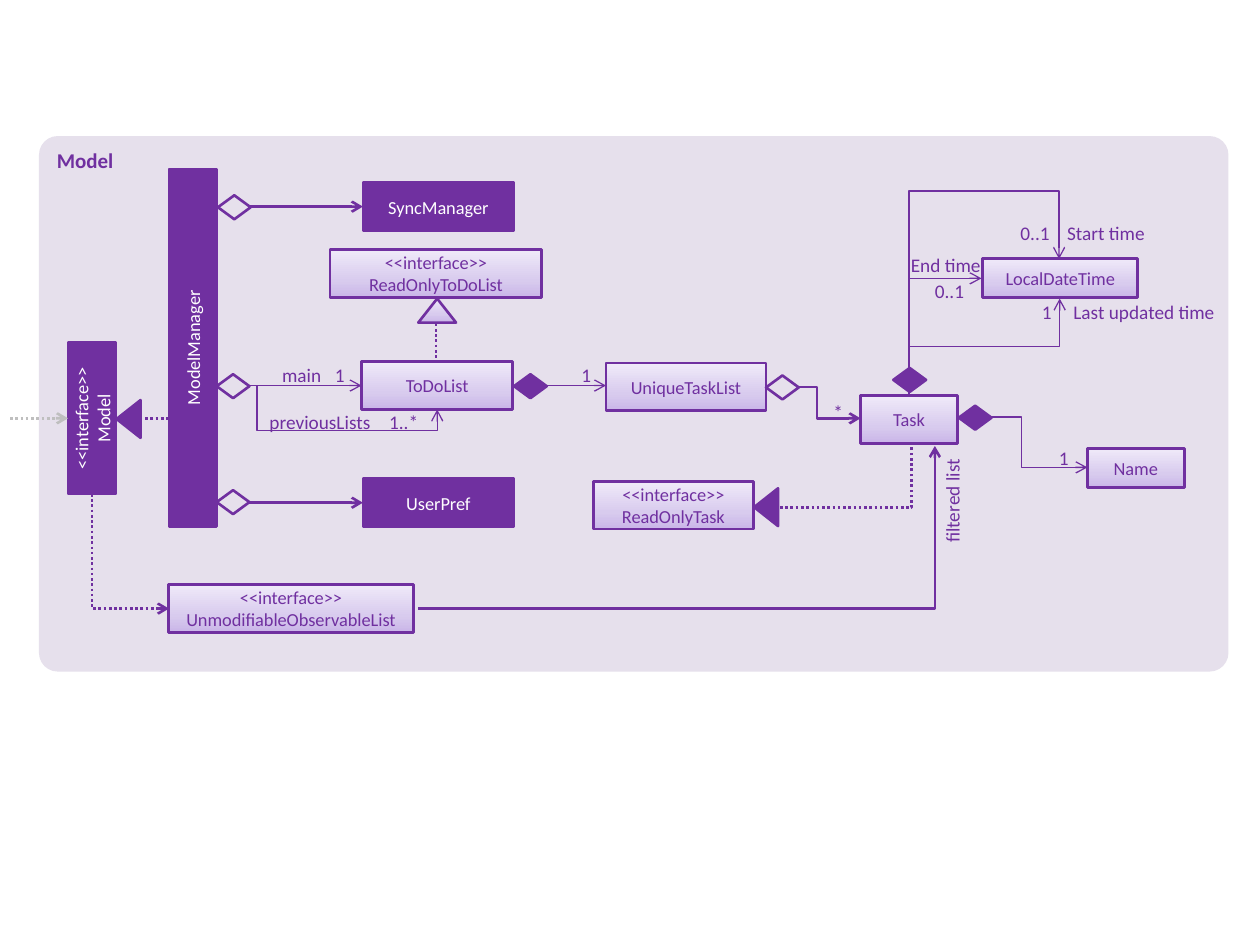
from dataclasses import dataclass
from typing import Any, NamedTuple

import lxml.etree
import pptx
import pptx.dml.color
import pptx.enum.dml
import pptx.enum.shapes
import pptx.enum.text
import pptx.oxml.ns
import pptx.util

Geo = pptx.enum.shapes.MSO_SHAPE
Wire = pptx.enum.shapes.MSO_CONNECTOR
Align = pptx.enum.text.PP_ALIGN
Anchor = pptx.enum.text.MSO_ANCHOR
qn = pptx.oxml.ns.qn


@dataclass(frozen=True)
class Theme:
    """Colours and type sizes of the diagram."""
    purple: str = "7030A0"
    panel: str = "E6E0EC"
    white: str = "FFFFFF"
    grey: str = "BFBFBF"
    gradient: tuple = ((0, "C9B5E8"), (35, "D8CBEE"), (100, "F0EAF9"))
    font: str = "Calibri"
    title_pt: float = 12
    box_pt: float = 10.5
    label_pt: float = 11
    line_pt: float = 1.5
    thin_pt: float = 0.75


T = Theme()


@dataclass
class Node:
    """A shape; fill is a colour, "gradient" or empty for none."""
    x: float
    y: float
    w: float
    h: float
    text: str = ""
    fill: str = "gradient"
    rot: int = 0
    geo: Any = Geo.RECTANGLE


@dataclass
class Link:
    """A connector in its unrotated frame."""
    x: float
    y: float
    w: float
    h: float
    width: float = T.line_pt
    arrow: bool = True
    dotted: bool = False
    bends: int = 0
    rot: int = 0
    flip: str = ""
    adj: tuple = ()
    color: str = T.purple


class Label(NamedTuple):
    """A free text; tab is the stop of its second part."""
    x: float
    y: float
    w: float
    text: str
    align: Any = Align.RIGHT
    tab: float = 0
    rot: int = 0


def length(inches: float) -> int:
    """Convert a diagram unit (one inch) to a length."""
    return pptx.util.Cm(inches * 2.54)


def rgb(value: str) -> Any:
    """Make a colour from its hex code."""
    return pptx.dml.color.RGBColor.from_string(value)


def sub(parent: Any, tag: str, **attrs: Any) -> Any:
    """Append an XML child element."""
    return lxml.etree.SubElement(parent, qn(tag), {k: str(v) for k, v in attrs.items()})


def apply(target: Any, formats: dict) -> None:
    """Set attributes from a dict of format values."""
    for name, value in formats.items():
        setattr(target, name, value)


def write(tf: Any, text: str, size: float, color: str, align: Any, bold: bool = False) -> None:
    """Fill a text frame and format its runs."""
    tf.word_wrap = True
    tf.text = text
    for p in tf.paragraphs:
        p.alignment = align
        for r in p.runs:
            apply(r.font, {"name": T.font, "size": pptx.util.Pt(size), "bold": bold})
            r.font.color.rgb = rgb(color)


def paint(sp: Any, fill: str) -> None:
    """Give a shape its fill."""
    if fill == "gradient":
        grad = lxml.etree.Element(qn("a:gradFill"), rotWithShape="1")
        stops = sub(grad, "a:gsLst")
        for pos, color in T.gradient:
            sub(sub(stops, "a:gs", pos=pos * 1000), "a:srgbClr", val=color)
        sub(grad, "a:lin", ang=270 * 60000, scaled=1)
        sp.element.spPr.find(qn("a:prstGeom")).addnext(grad)
    elif fill:
        sp.fill.solid()
        sp.fill.fore_color.rgb = rgb(fill)
    else:
        sp.fill.background()


def draw_node(s: Any, n: Node) -> Any:
    """Draw a shape with its centred text."""
    sp = s.shapes.add_shape(n.geo, *map(length, (n.x, n.y, n.w, n.h)))
    sp.rotation = n.rot
    sp.shadow.inherit = False
    paint(sp, n.fill)
    sp.line.color.rgb = rgb(T.purple)
    sp.line.width = pptx.util.Pt(T.line_pt)
    if n.text:
        sp.text_frame.vertical_anchor = Anchor.MIDDLE
        write(sp.text_frame, n.text, T.box_pt,
              T.white if n.fill == T.purple else T.purple, Align.CENTER)
    return sp


def draw_link(s: Any, k: Link) -> None:
    """Draw a straight or bent connector."""
    c = s.shapes.add_connector(Wire.ELBOW if k.bends else Wire.STRAIGHT,
                               *map(length, (k.x, k.y, k.x + k.w, k.y + k.h)))
    spPr = c.element.spPr
    xfrm, geom = spPr.find(qn("a:xfrm")), spPr.find(qn("a:prstGeom"))
    if k.rot:
        xfrm.set("rot", str(k.rot * 60000))
    for axis in k.flip:
        xfrm.set("flip" + axis.upper(), "1")
    if k.bends:
        geom.set("prst", f"bentConnector{k.bends}")
        for i, value in enumerate(k.adj, 1):
            sub(geom.find(qn("a:avLst")), "a:gd", name=f"adj{i}", fmla=f"val {round(value * 100000)}")
    c.line.color.rgb = rgb(k.color)
    c.line.width = pptx.util.Pt(k.width)
    if k.dotted:
        c.line.dash_style = pptx.enum.dml.MSO_LINE.ROUND_DOT
    if k.arrow:
        sub(spPr.find(qn("a:ln")), "a:tailEnd", type="arrow")
    sub(spPr, "a:effectLst")


def draw_label(s: Any, b: Label) -> None:
    """Draw a one-line text, with a tab stop where it has two parts."""
    sp = s.shapes.add_textbox(*map(length, (b.x, b.y, b.w, 0.29)))
    sp.rotation = b.rot
    write(sp.text_frame, b.text, T.label_pt, T.purple, b.align)
    if b.tab:
        pPr = sp.text_frame.paragraphs[0]._p.get_or_add_pPr()
        sub(sub(pPr, "a:tabLst"), "a:tab", pos=length(b.tab), algn="l")


I = "<<interface>>"
BOXES = [
    Node(2.88, 1.45, 1.2, 0.38, "SyncManager", T.purple), Node(2.88, 3.8, 1.2, 0.38, "UserPref", T.purple),
    Node(0.11, 2.57, 2.84, 0.38, "ModelManager", T.purple, 270),
    Node(0.13, 3.13, 1.2, 0.38, I + "\nModel", T.purple, 270),
    Node(2.87, 2.87, 1.2, 0.38, "ToDoList"), Node(4.81, 2.88, 1.27, 0.38, "UniqueTaskList"),
    Node(6.83, 3.14, 0.77, 0.38, "Task"), Node(8.63, 3.56, 0.77, 0.31, "Name"),
    Node(7.8, 2.05, 1.23, 0.31, "LocalDateTime"), Node(4.71, 3.82, 1.27, 0.38, I + "\vReadOnlyTask"),
    Node(2.62, 1.98, 1.68, 0.38, I + "\vReadOnlyToDoList"),
    Node(1.34, 4.64, 1.94, 0.38, I + "\vUnmodifiableObservableList"),
]
TRIANGLES = [(0.87, 3.23, T.purple, 270), (5.93, 3.93, T.purple, 270), (3.32, 2.37, "gradient", 0)]
DIAMONDS = [(1.73, 1.55, ""), (1.72, 2.97, ""), (1.72, 3.89, ""), (6.08, 2.98, ""),
            (4.08, 2.97, T.purple), (7.61, 3.22, T.purple), (7.09, 2.92, T.purple)]
THIN = T.thin_pt
LINKS = [
    Link(1.98, 1.64, 0.9, 0), Link(1.98, 3.99, 0.9, 0),
    Link(1.98, 3.06, 0.89, 0, THIN), Link(4.06, 3.06, 0.75, 0, THIN),
    Link(0.08, 3.32, 0.46, 0, dotted=True, color=T.grey),
    Link(1.11, 3.32, 0.24, 0, arrow=False, dotted=True),
    Link(3.46, 2.36, 0, 0.51, arrow=False, dotted=True),
    Link(6.19, 3.54, 1.05, 0.49, arrow=False, dotted=True, bends=3, flip="v", adj=(0.995,)),
    Link(3.32, 3.54, 4.1, 1.29, bends=3, flip="v", adj=(1,)),
    Link(6.33, 3.07, 0.5, 0.25, bends=3, adj=(0.311,)),
    Link(0.58, 4.07, 0.91, 0.61, dotted=True, bends=2, rot=270, flip="h"),
    Link(7.61, 3.31, 1.02, 0.4, THIN, bends=3, rot=180, flip="hv", adj=(0.489,)),
    Link(7.04, 2.39, 0.93, 0.57, THIN, bends=2, rot=90, flip="hv"),
    Link(7.43, 2.16, 0.77, 1.19, THIN, bends=3, rot=90, flip="hv", adj=(0.509,)),
    Link(7.27, 2, 1.08, 1.19, THIN, bends=3, rot=90, flip="hv", adj=(1.499,)),
    Link(1.98, 3.06, 1.49, 0.19, THIN, bends=4, adj=(0.04, 1.891)),
]
LABELS = [
    Label(7.08, 3.88, 0.96, "filtered list", rot=270), Label(7.62, 3.49, 0.96, "1"),
    Label(6.79, 2.17, 0.96, "0..1"), Label(5.83, 3.13, 0.96, "*"), Label(3.83, 2.83, 0.96, "1"),
    Label(7.13, 1.96, 0.79, "End time", Align.LEFT),
    Label(8.17, 2.33, 1.58, "1\tLast updated time", Align.LEFT, 0.25),
    Label(8, 1.71, 1.58, "0..1\tStart time", Align.LEFT, 0.37),
    Label(2.14, 2.83, 0.96, "main\t1", Align.LEFT, 0.42),
    Label(2.04, 3.21, 1.5, "previousLists\t1..*", Align.LEFT, 0.95),
]


def main() -> None:
    """Build the class diagram."""
    prs = pptx.Presentation()
    apply(prs, {"slide_width": length(10), "slide_height": length(7.5)})
    s = prs.slides.add_slide(prs.slide_layouts[6])
    panel = draw_node(s, Node(0.31, 1.08, 9.44, 4.25, fill=T.panel, geo=Geo.ROUNDED_RECTANGLE))
    panel.adjustments[0] = 0.035
    panel.line.fill.background()
    panel.text_frame.vertical_anchor = Anchor.TOP
    write(panel.text_frame, "Model", T.title_pt, T.purple, Align.LEFT, True)
    for box in BOXES:
        draw_node(s, box)
    for link in LINKS:
        draw_link(s, link)
    for x, y, fill, rot in TRIANGLES:
        draw_node(s, Node(x, y, 0.3, 0.19, "", fill, rot, Geo.ISOSCELES_TRIANGLE))
    for x, y, fill in DIAMONDS:
        draw_node(s, Node(x, y, 0.26, 0.19, "", fill, 0, Geo.FLOWCHART_DECISION))
    for label in LABELS:
        draw_label(s, label)
    prs.save("out.pptx")


main()
